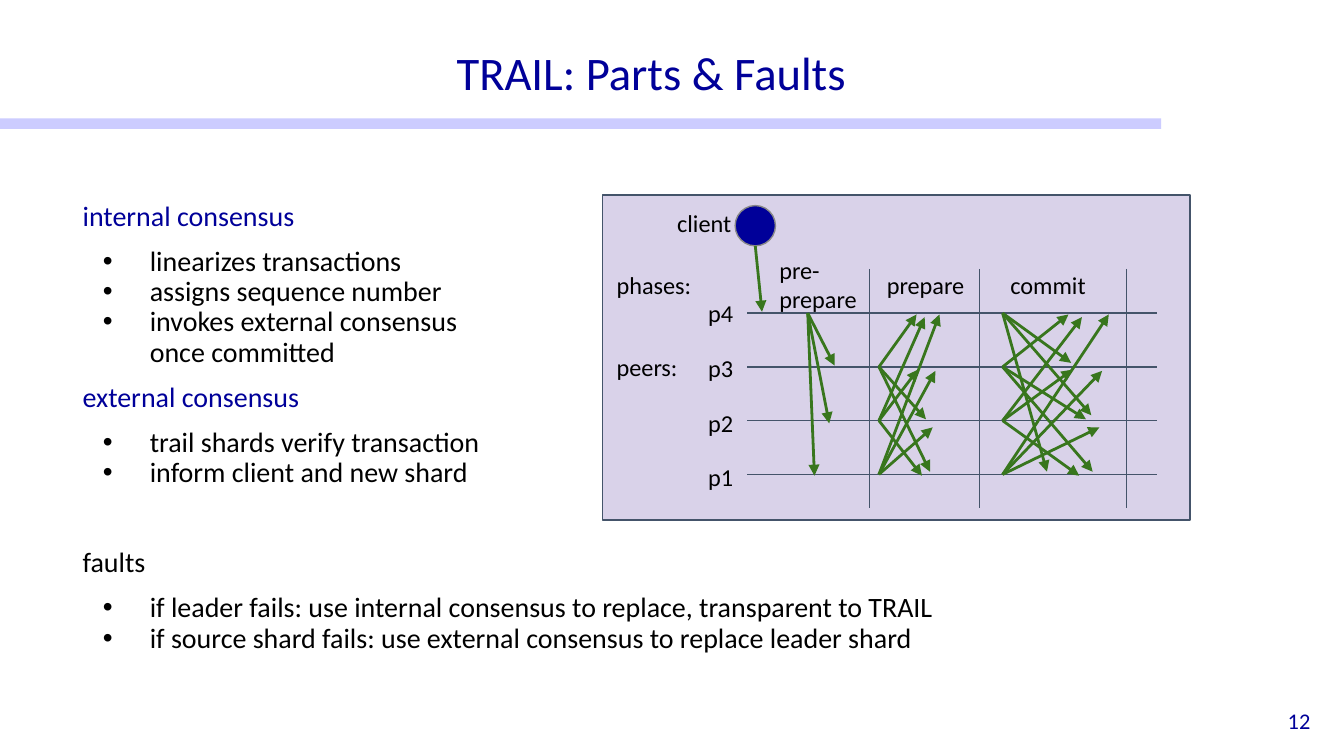
"""Build the slide on the parts and faults of TRAIL with its consensus message diagram."""
import lxml.etree
import pptx
import pptx.dml.color
import pptx.enum.shapes
import pptx.enum.text
import pptx.oxml.ns
import pptx.util

RGB = pptx.dml.color.RGBColor.from_string
ALIGN = pptx.enum.text.PP_ALIGN
ANCHOR = pptx.enum.text.MSO_ANCHOR
SHAPE = pptx.enum.shapes.MSO_SHAPE
qn = pptx.oxml.ns.qn

THEME = {
    "font": "Calibri",
    "navy": RGB("000099"), "black": RGB("000000"), "bar": RGB("CCCCFF"),
    "panel": RGB("D9D2E9"), "rule": RGB("44546A"), "ring": RGB("888888"),
    "message": RGB("38761D"),
    "title": 25, "body": 15, "label": 13, "number": 12,
}

deck = pptx.Presentation()
deck.slide_width = pptx.util.Inches(10)
deck.slide_height = deck.slide_width * 9 // 16
CELL = deck.slide_width / 100
slide = deck.slides.add_slide(deck.slide_layouts[5])


def write(box, place, lines, size, color, inset, align=ALIGN.LEFT, anchor=ANCHOR.TOP, spacing=1.0):
    """Place a text holder on the grid and fill it with formatted paragraphs."""
    for side, cells in zip(("left", "top", "width", "height"), place):
        setattr(box, side, round(cells * CELL))
    frame = box.text_frame
    frame.text = "\n".join(lines)
    margins = {f"margin_{side}": pptx.util.Inches(gap)
               for side, gap in zip(("left", "top", "right", "bottom"), inset)}
    layout = {"word_wrap": True, "auto_size": pptx.enum.text.MSO_AUTO_SIZE.NONE,
              "vertical_anchor": anchor, **margins}
    for name, value in layout.items():
        setattr(frame, name, value)
    for paragraph in frame.paragraphs:
        paragraph.alignment, paragraph.line_spacing = align, spacing
        for run in paragraph.runs:
            for name, value in {"name": THEME["font"], "size": pptx.util.Pt(size)}.items():
                setattr(run.font, name, value)
            run.font.color.rgb = color
        for line_break in paragraph._p.findall(qn("a:br")):
            lxml.etree.SubElement(line_break, qn("a:rPr"), sz=str(size * 100))
    return frame.paragraphs


def connect(start, end, color, width, arrow=False):
    """Draw a straight line between two grid points, with an arrowhead on request."""
    points = [round(cells * CELL) for cells in (*start, *end)]
    link = slide.shapes.add_connector(pptx.enum.shapes.MSO_CONNECTOR.STRAIGHT, *points)
    link.line.color.rgb = color
    link.line.width = pptx.util.Pt(width)
    if arrow:
        lxml.etree.SubElement(link.line._get_or_add_ln(), qn("a:tailEnd"), type="triangle")
    lxml.etree.SubElement(link._element.spPr, qn("a:effectLst"))


TIGHT = (0.07, 0.04, 0.07, 0.04)
LABEL = (0.1, 0.1, 0, 0.1)

write(slide.shapes.title, (17.6, 0.5, 61.7, 7.4), ["TRAIL: Parts & Faults"],
      THEME["title"], THEME["navy"], TIGHT, ALIGN.CENTER, ANCHOR.BOTTOM, 0.9)

for kind, place, fill, outline in (
    (SHAPE.RECTANGLE, (0, 8.8, 86.4, 0.8), "bar", None),
    (SHAPE.RECTANGLE, (44.85, 14.5, 43.7, 24.2), "panel", "rule"),
    (SHAPE.OVAL, (54.7, 15.3, 3, 3), "navy", "ring"),
):
    figure = slide.shapes.add_shape(kind, *[round(cells * CELL) for cells in place])
    figure.shadow.inherit = False
    figure.fill.solid()
    figure.fill.fore_color.rgb = THEME[fill]
    if outline:
        figure.line.color.rgb = THEME[outline]
        figure.line.width = pptx.util.Pt(0.75)
    else:
        figure.line.fill.background()

sections = (
    ("internal consensus", "navy", 8, ("linearizes transactions", "assigns sequence number",
                                       "invokes external consensus\vonce committed")),
    ("external consensus", "navy", 8, ("trail shards verify transaction",
                                       "inform client and new shard")),
    ("faults", "black", 32, (
        "if leader fails: use internal consensus to replace, transparent to TRAIL",
        "if source shard fails: use external consensus to replace leader shard")),
)
outline_lines = [text for heading, _, _, points in sections for text in (heading, *points)]
paragraphs = iter(write(slide.shapes.add_textbox(0, 0, 0, 0), (5.45, 14.63, 86, 38), outline_lines,
                        THEME["body"], THEME["black"], TIGHT, spacing=0.9))
for heading, color, gap, points in sections:
    head = next(paragraphs)
    head.space_before = pptx.util.Pt(gap)
    head.runs[0].font.color.rgb = THEME[color]
    for order in range(len(points)):
        point = next(paragraphs)
        point.space_before = pptx.util.Pt(0 if order else 8)
        properties = point._p.get_or_add_pPr()
        for name, inches in {"marL": 0.5, "indent": -0.35}.items():
            properties.set(name, str(pptx.util.Inches(inches)))
        lxml.etree.SubElement(properties, qn("a:buFont"), typeface="Arial")
        lxml.etree.SubElement(properties, qn("a:buChar"), char="•")

write(slide.shapes.add_textbox(0, 0, 0, 0), (75.7, 52.1, 22.5, 3), ["12"],
      THEME["number"], THEME["navy"], TIGHT, ALIGN.RIGHT, ANCHOR.MIDDLE)

peer_rows = {f"p{4 - step}": 23.3 + 4 * step for step in range(4)}
labels = [((51.7, 21.2 + 4.07 * step, 3.9, 4.2), [peer]) for step, peer in enumerate(peer_rows)]
labels += [
    ((49.4, 14.5, 6.2, 4.2), ["client"]),
    ((44.9, 19.1, 11.5, 4.2), ["phases:"]),
    ((44.9, 25.2, 11.5, 4.2), ["peers:"]),
    ((57, 18, 11.5, 6.4), ["pre-", "prepare"]),
    ((65, 19.1, 10.2, 4.2), ["prepare"]),
    ((74.2, 19.1, 10.2, 4.2), ["commit"]),
]
for place, lines in labels:
    write(slide.shapes.add_textbox(0, 0, 0, 0), place, lines,
          THEME["label"], THEME["black"], LABEL)

for row in peer_rows.values():
    connect((55.6, row), (86.1, row), THEME["rule"], 0.75)
for phase_end in (64.7, 72.9, 83.8):
    connect((phase_end, 20), (phase_end, 37.8), THEME["rule"], 0.75)

messages = [((56.2, 18.3), (56.7, 23.2))]
messages += [((60.1, peer_rows["p4"]), head) for head in ((62.1, 27.2), (61.7, 31.5), (60.6, 35.4))]
exchanges = (
    ("p3", 23.4, 68.2, 79.5), ("p2", 23.6, 68.8, 80.5), ("p1", 23.4, 69.9, 82.5),
    ("p3", 31.2, 68.9, 80.8), ("p3", 35.1, 69.2, 81.3), ("p2", 35.4, 68.6, 80.3),
    ("p2", 27.5, 68.3, 79.8), ("p1", 27.6, 69.6, 82), ("p1", 31.8, 69.4, 81.8),
)
for sender, arrival, prepare_end, commit_end in exchanges:
    for phase_start, phase_end in ((65.4, prepare_end), (74.6, commit_end)):
        messages.append(((phase_start, peer_rows[sender]), (phase_end, arrival)))
messages += [((74.6, peer_rows["p4"]), head) for head in ((79.7, 27), (81.2, 30.9), (77.9, 35.1))]
for start, end in messages:
    connect(start, end, THEME["message"], 1.5, arrow=True)

deck.save("out.pptx")
